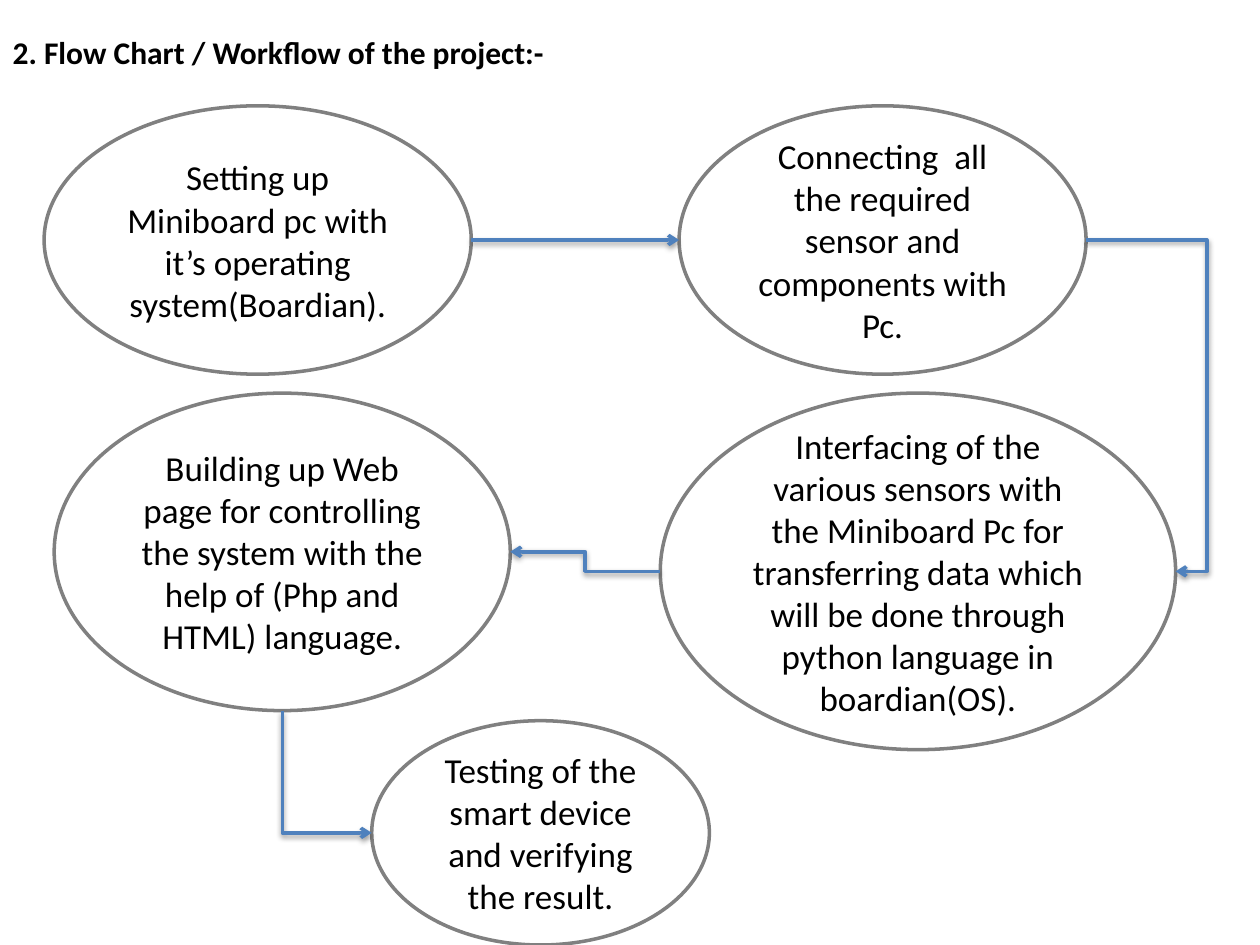
from dataclasses import dataclass

from lxml.etree import SubElement
from pptx import Presentation
from pptx.dml.color import RGBColor
from pptx.enum.shapes import MSO_CONNECTOR, MSO_SHAPE
from pptx.enum.text import MSO_ANCHOR, MSO_AUTO_SIZE, PP_ALIGN
from pptx.oxml.ns import qn
from pptx.util import Inches, Pt

COLUMNS, ROWS = 100, 75


@dataclass(frozen=True)
class Theme:
    font: str = "Calibri"
    title_size: int = 18
    step_size: int = 20
    line_width: int = 2
    text: str = "000000"
    fill: str = "FFFFFF"
    outline: str = "808080"
    arrow: str = "4F81BD"


def color(code):
    return RGBColor.from_string(code)


class FlowPage:
    """Draws on one slide; all lengths are columns and rows of the grid."""

    def __init__(self, deck, theme):
        self.theme = theme
        self.column = deck.slide_width / COLUMNS
        self.row = deck.slide_height / ROWS
        self.page = deck.slides.add_slide(deck.slide_layouts[5])

    def place(self, *lengths):
        """Turn alternating columns and rows into slide lengths."""
        units = (self.column, self.row) * (len(lengths) // 2)
        return [round(length * unit) for length, unit in zip(lengths, units)]

    def add_text(self, frame, text, size, bold=False, align=PP_ALIGN.LEFT, anchor=MSO_ANCHOR.TOP):
        frame.word_wrap = True
        frame.auto_size = MSO_AUTO_SIZE.NONE
        frame.vertical_anchor = anchor
        para = frame.paragraphs[0]
        para.alignment = align
        span = para.add_run()
        span.text = text
        span.font.name = self.theme.font
        span.font.size = Pt(size)
        span.font.bold = bold
        span.font.color.rgb = color(self.theme.text)

    def title(self, text, *area):
        box = self.page.shapes.title
        box.left, box.top, box.width, box.height = self.place(*area)
        self.add_text(box.text_frame, text, self.theme.title_size, bold=True)

    def step(self, text, *area):
        oval = self.page.shapes.add_shape(MSO_SHAPE.OVAL, *self.place(*area))
        oval.shadow.inherit = False
        oval.fill.solid()
        oval.fill.fore_color.rgb = color(self.theme.fill)
        oval.line.color.rgb = color(self.theme.outline)
        oval.line.width = Pt(self.theme.line_width)
        self.add_text(oval.text_frame, text, self.theme.step_size,
                      align=PP_ALIGN.CENTER, anchor=MSO_ANCHOR.MIDDLE)
        return oval

    def arrow(self, start, end, kind=MSO_CONNECTOR.ELBOW, bend=None):
        """Join two points; the connector keeps the template's soft shadow."""
        line = self.page.shapes.add_connector(kind, *start, *end)
        line.line.color.rgb = color(self.theme.arrow)
        line.line.width = Pt(self.theme.line_width)
        properties = line._element.spPr
        SubElement(properties.find(qn("a:ln")), qn("a:tailEnd"), type="arrow")
        if bend is not None:
            values = properties.find(qn("a:prstGeom")).find(qn("a:avLst"))
            SubElement(values, qn("a:gd"), name="adj1", fmla=f"val {round(bend * 100000)}")
        return line

    def corner_arrow(self, start, end):
        """Run down, then right: a mirrored corner connector turned by 270 degrees."""
        (left, top), (right, bottom) = start, end
        middle_x, middle_y = (left + right) // 2, (top + bottom) // 2
        half_long, half_short = (bottom - top) // 2, (right - left) // 2
        line = self.arrow((middle_x + half_long, middle_y - half_short),
                          (middle_x - half_long, middle_y + half_short))
        properties = line._element.spPr
        properties.find(qn("a:prstGeom")).set("prst", "bentConnector2")
        properties.find(qn("a:xfrm")).set("rot", str(270 * 60000))


def edge(oval, across, down):
    """Point on an oval's frame, given as shares of its width and height."""
    return (oval.left + round(oval.width * across), oval.top + round(oval.height * down))


def left(oval):
    return edge(oval, 0, 0.5)


def right(oval):
    return edge(oval, 1, 0.5)


def bottom(oval):
    return edge(oval, 0.5, 1)


def main():
    deck = Presentation()
    deck.slide_width, deck.slide_height = Inches(10), Inches(7.5)
    flow = FlowPage(deck, Theme())

    flow.title("2. Flow Chart / Workflow of the project:-", 0, 2.1, 62.6, 5)
    setup = flow.step("Setting up Miniboard pc with it’s operating system(Boardian).",
                      3.5, 8.4, 33.9, 21.3)
    interface = flow.step(
        "Interfacing of the various sensors with the Miniboard Pc for transferring data "
        "which will be done through python language in boardian(OS).",
        52.4, 31.2, 40.9, 28.3)
    web = flow.step("Building up Web page for controlling the system with the help of "
                    "(Php and HTML) language.", 4.3, 31.2, 36.2, 25.2)
    wiring = flow.step("Connecting  all the required sensor and components with Pc.",
                       53.9, 8.4, 32.3, 21.3)
    testing = flow.step("Testing of the smart device and verifying the result.",
                        29.5, 57.2, 26.8, 17.8)

    flow.arrow(right(setup), left(wiring), kind=MSO_CONNECTOR.STRAIGHT)
    flow.arrow(right(wiring), right(interface), bend=1.35)
    flow.arrow(left(interface), right(web), bend=0.5)
    flow.corner_arrow(bottom(web), left(testing))
    deck.save("out.pptx")


if __name__ == "__main__":
    main()
